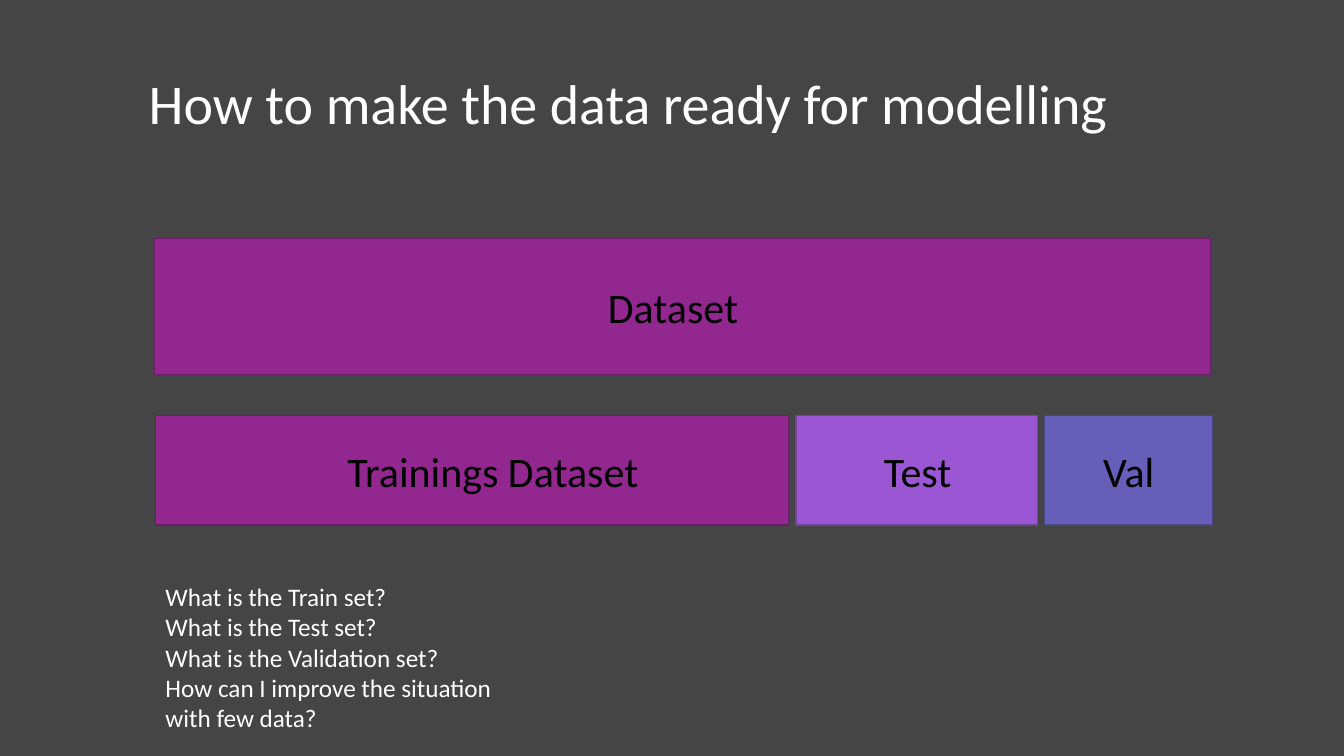
from lxml.etree import SubElement
from pptx import Presentation
from pptx.dml.color import RGBColor
from pptx.enum.shapes import MSO_SHAPE as Shape
from pptx.enum.text import MSO_ANCHOR as Anchor, MSO_AUTO_SIZE as AutoSize, PP_ALIGN as Align
from pptx.oxml.ns import qn
from pptx.util import Pt

PX = 9525  # 96 px to the inch
COLORS = {
    "background": "454545",
    "light": "FFFFFF",
    "dark": "000000",
    "purple": "92278F",
    "purple edge": "6C1D6A",
    "violet": "9B57D3",
    "violet edge": "73409C",
    "indigo": "665EB8",
    "indigo edge": "4B4688",
}


def color(name):
    return RGBColor.from_string(COLORS[name])


def write(holder, *lines, size, ink="light", align=Align.LEFT, anchor=Anchor.TOP):
    """Fill a shape with one unbulleted paragraph per line."""
    frame = holder.text_frame
    frame.word_wrap = True
    frame.auto_size = AutoSize.NONE
    frame.vertical_anchor = anchor
    frame.text = "\n".join(lines)
    for paragraph in frame.paragraphs:
        properties = paragraph._p.get_or_add_pPr()
        properties.set("marL", "0")
        properties.set("indent", "0")
        SubElement(properties, qn("a:buNone"))
        paragraph.alignment = align
        paragraph.space_before = Pt(0)
        font = paragraph.runs[0].font
        font.name = "Calibri"
        font.size = Pt(size)
        font.color.rgb = color(ink)


deck = Presentation()
deck.slide_width, deck.slide_height = 1280 * PX, 720 * PX
slide = deck.slides.add_slide(deck.slide_layouts[1])
slide.background.fill.solid()
slide.background.fill.fore_color.rgb = color("background")

title, questions = slide.placeholders
title.left, title.top, title.width, title.height = (n * PX for n in (132, 60, 961, 74))
write(title, "How to make the data ready for modelling", size=40)

questions.left, questions.top, questions.width, questions.height = (
    n * PX for n in (148, 549, 371, 156))
write(
    questions,
    "What is the Train set?",
    "What is the Test set?",
    "What is the Validation set?",
    "How can I improve the situation with few data?",
    size=18,
)

# Each row: left, top, height, then its bars as (label, width, label shift, fill)
GAP = 7
ROWS = [
    (147, 227, 130, [("Dataset", 1006, -9, "purple")]),
    (148, 396, 104, [
        ("Trainings Dataset", 603, 20, "purple"),
        ("Test", 230, 1, "violet"),
        ("Val", 160, 0, "indigo"),
    ]),
]
for left, top, height, bars in ROWS:
    for label, width, shift, fill in bars:
        bar = slide.shapes.add_shape(
            Shape.RECTANGLE, left * PX, top * PX, width * PX, height * PX)
        bar.shadow.inherit = False
        bar.fill.solid()
        bar.fill.fore_color.rgb = color(fill)
        bar.line.color.rgb = color(f"{fill} edge")
        bar.line.width = Pt(1)
        bar.text_frame.margin_left = max(2 * shift, 0) * PX
        bar.text_frame.margin_right = max(-2 * shift, 0) * PX
        write(bar, label, size=30, ink="dark", align=Align.CENTER, anchor=Anchor.MIDDLE)
        left += width + GAP

deck.save("out.pptx")
